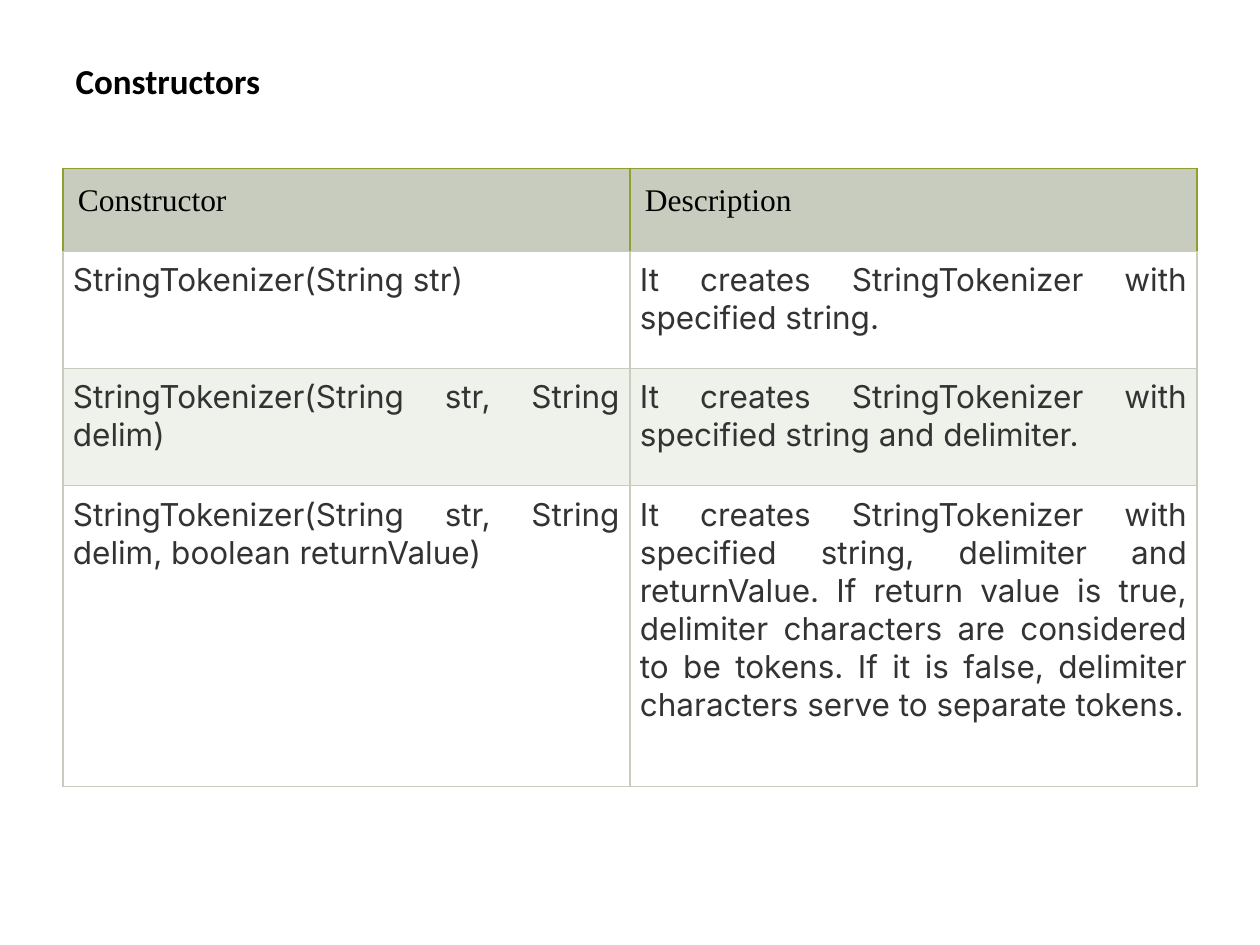
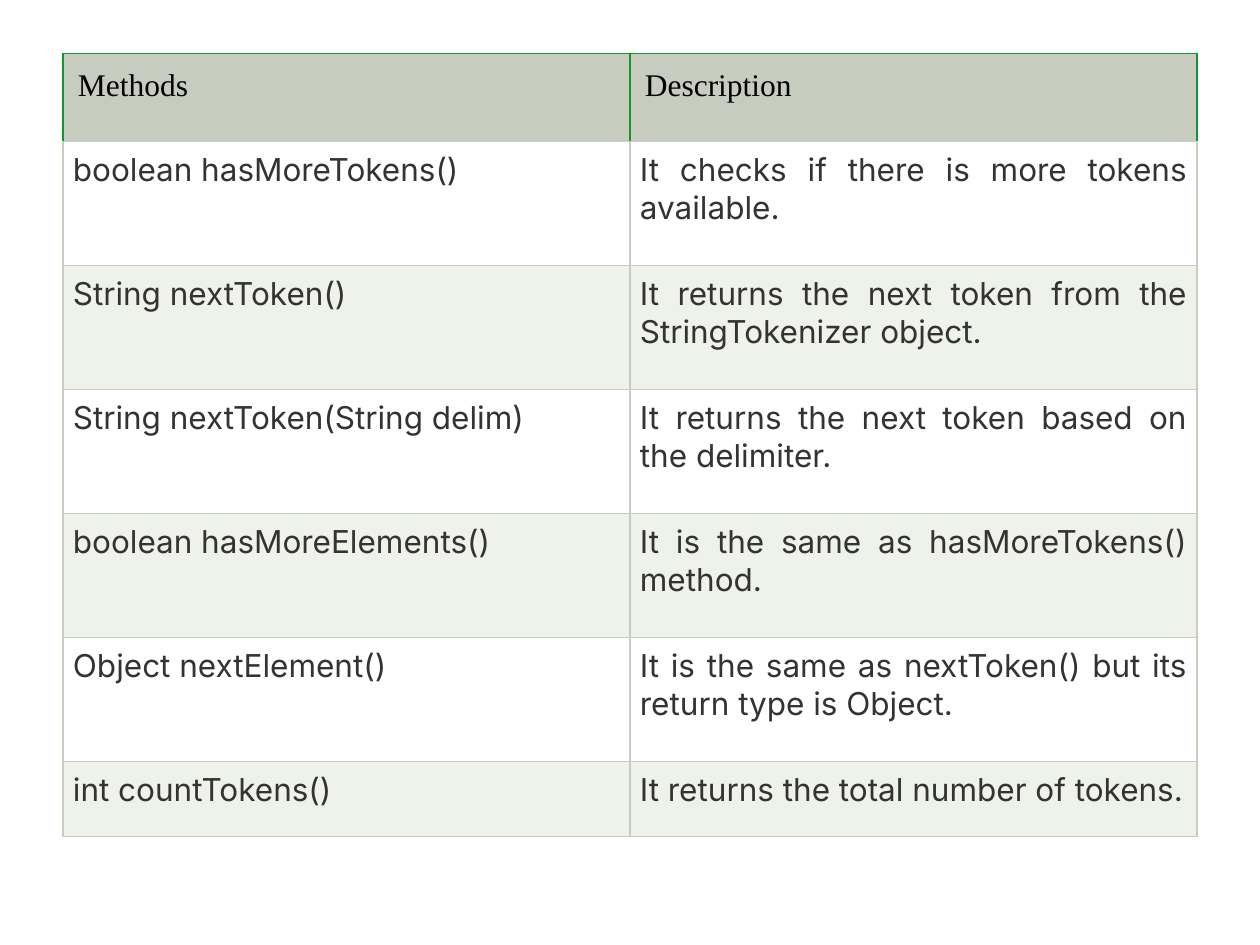
from lxml.etree import SubElement
from pptx import Presentation
from pptx.dml.color import RGBColor
from pptx.enum.text import MSO_ANCHOR, PP_ALIGN
from pptx.oxml.ns import qn
from pptx.util import Cm, Pt

INK, BODY_INK = "000000", "333333"
SAGE, PALE_SAGE, WHITE = "C7CCBE", "EFF1EB", "FFFFFF"
OLIVE, GREEN = "909F2D", "10972D"
LEFT, TOP, COLUMN_WIDTH = 1.27, 1.07, 11.43
TITLE_ONLY, BLANK = 5, 6

CONSTRUCTORS = [
    ("Constructor", "Description"),
    ("StringTokenizer(String str)",
     "It creates StringTokenizer with specified string."),
    ("StringTokenizer(String str, String delim)",
     "It creates StringTokenizer with specified string and delimiter."),
    ("StringTokenizer(String str, String delim, boolean returnValue)",
     "It creates StringTokenizer with specified string, delimiter and "
     "returnValue. If return value is true, delimiter characters are "
     "considered to be tokens. If it is false, delimiter characters serve "
     "to separate tokens."),
]

METHODS = [
    ("Methods", "Description"),
    ("boolean hasMoreTokens()",
     "It checks if there is more tokens available."),
    ("String nextToken()",
     "It returns the next token from the StringTokenizer object."),
    ("String nextToken(String delim)",
     "It returns the next token based on the delimiter."),
    ("boolean hasMoreElements()",
     "It is the same as hasMoreTokens() method."),
    ("Object nextElement()",
     "It is the same as nextToken() but its return type is Object."),
    ("int countTokens()", "It returns the total number of tokens."),
]


def rgb(value):
    """Turn a hex string into a colour."""
    return RGBColor.from_string(value)


def write(frame, text, font="Inter", size=18, color=BODY_INK, bold=False,
          align=PP_ALIGN.LEFT):
    """Put one formatted paragraph into a text frame."""
    frame.word_wrap = True
    paragraph = frame.paragraphs[0]
    paragraph.alignment = align
    run = paragraph.add_run()
    run.text = text
    run.font.name = font
    run.font.size = Pt(size)
    run.font.bold = bold
    run.font.color.rgb = rgb(color)


def set_borders(cell, sides, bottom):
    """Draw the four cell borders, with a separate colour for the bottom."""
    properties = cell._tc.get_or_add_tcPr()
    for edge, color in zip("LRTB", (sides, sides, sides, bottom)):
        border = SubElement(properties, qn(f"a:ln{edge}"), w=str(Pt(0.75)))
        fill = SubElement(border, qn("a:solidFill"))
        SubElement(fill, qn("a:srgbClr"), val=color)


def style_cell(cell, fill, margin, border=SAGE):
    """Set the borders, fill and equal margins of a cell."""
    set_borders(cell, border, SAGE)
    cell.fill.solid()
    cell.fill.fore_color.rgb = rgb(fill)
    cell.margin_left = cell.margin_right = Cm(margin)
    cell.margin_top = cell.margin_bottom = Cm(margin)


def add_reference_table(slide, entries, top, heights, accent):
    """Add a two-column table with an accented header and striped rows."""
    table = slide.shapes.add_table(
        len(entries), 2, Cm(LEFT), Cm(top),
        Cm(2 * COLUMN_WIDTH), Cm(sum(heights))).table
    table.first_row = table.horz_banding = False
    for column in table.columns:
        column.width = Cm(COLUMN_WIDTH)
    for index, (entry, height) in enumerate(zip(entries, heights)):
        table.rows[index].height = Cm(height)
        for cell, text in zip(table.rows[index].cells, entry):
            if index == 0:
                style_cell(cell, SAGE, 0.3, accent)
                write(cell.text_frame, text, font="Times New Roman", color=INK)
            else:
                style_cell(cell, WHITE if index % 2 else PALE_SAGE, 0.2)
                write(cell.text_frame, text, align=PP_ALIGN.JUSTIFY)


def set_title(slide, text):
    """Place and format the slide title."""
    title = slide.shapes.title
    title.left, title.top = Cm(LEFT), Cm(TOP)
    title.width, title.height = Cm(10.36), Cm(1.11)
    title.text_frame.vertical_anchor = MSO_ANCHOR.TOP
    write(title.text_frame, text, font="Calibri", size=20, color=INK, bold=True)


def main():
    """Build both slides and save the presentation."""
    deck = Presentation()
    deck.slide_width, deck.slide_height = Cm(25.4), Cm(19.05)

    constructors = deck.slides.add_slide(deck.slide_layouts[TITLE_ONLY])
    set_title(constructors, "Constructors")
    add_reference_table(constructors, CONSTRUCTORS, 3.39,
                        [1.68, 2.36, 2.36, 6.07], OLIVE)

    methods = deck.slides.add_slide(deck.slide_layouts[BLANK])
    add_reference_table(methods, METHODS, TOP,
                        [1.78] + [2.5] * 5 + [1.52], GREEN)

    deck.save("out.pptx")


if __name__ == "__main__":
    main()
